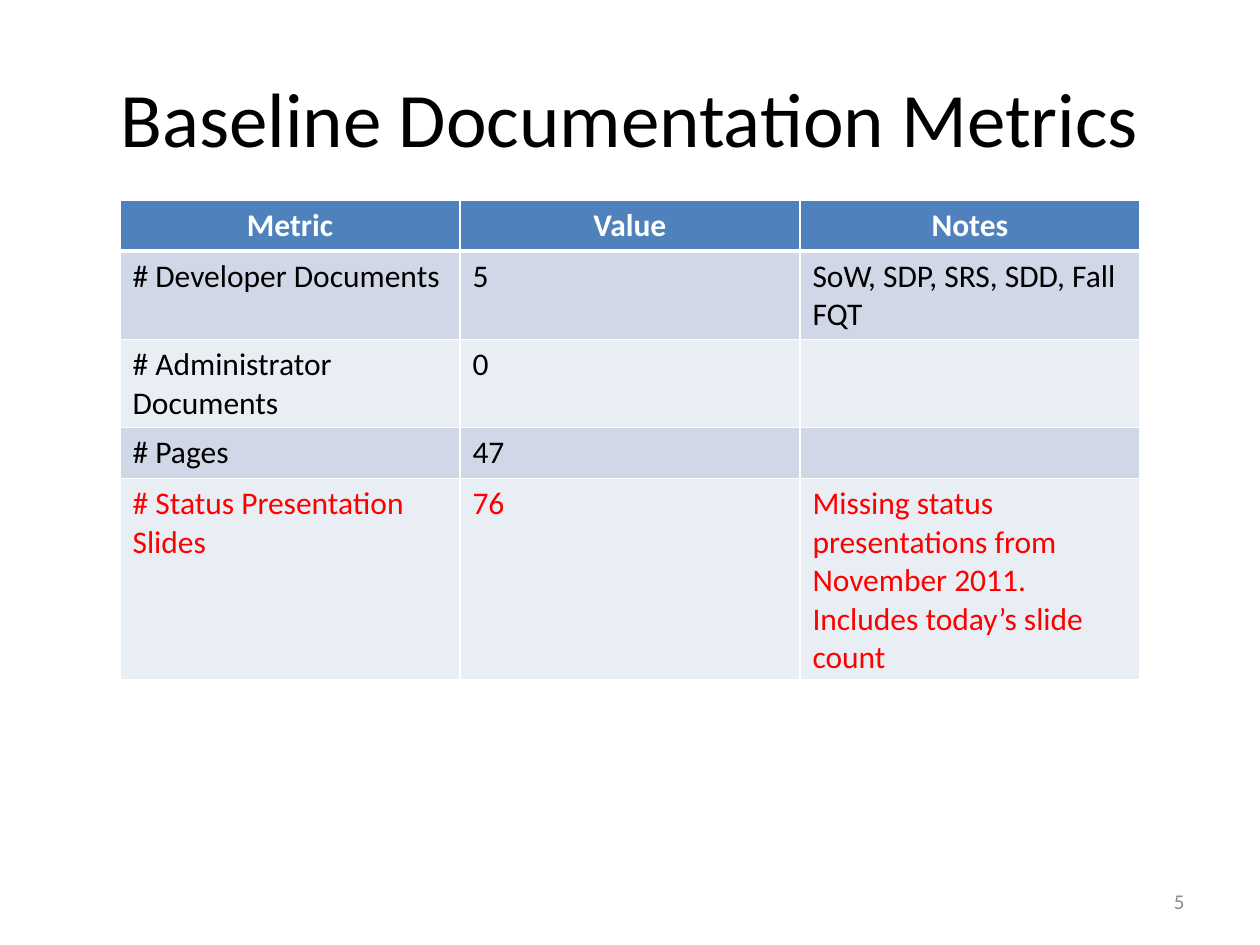
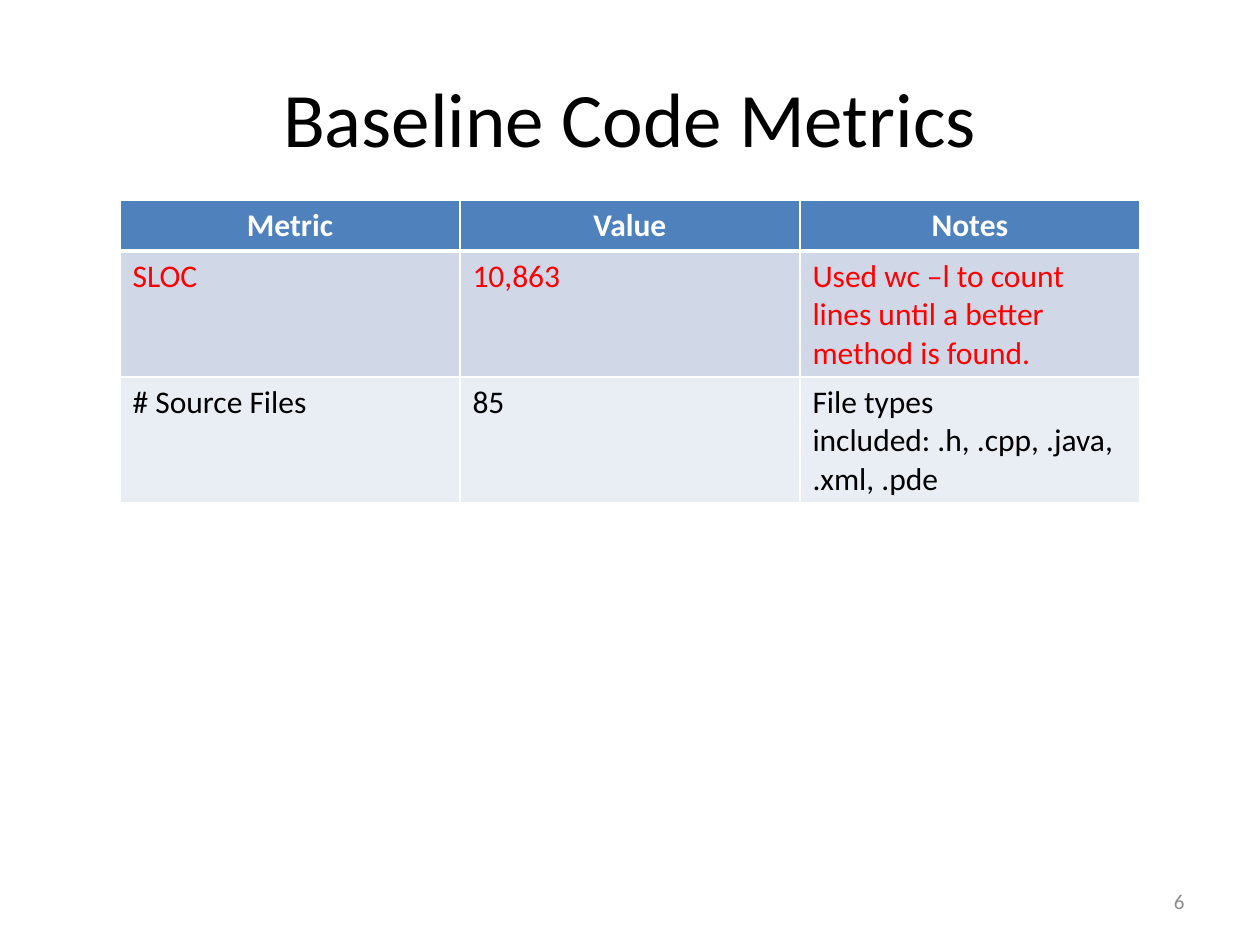
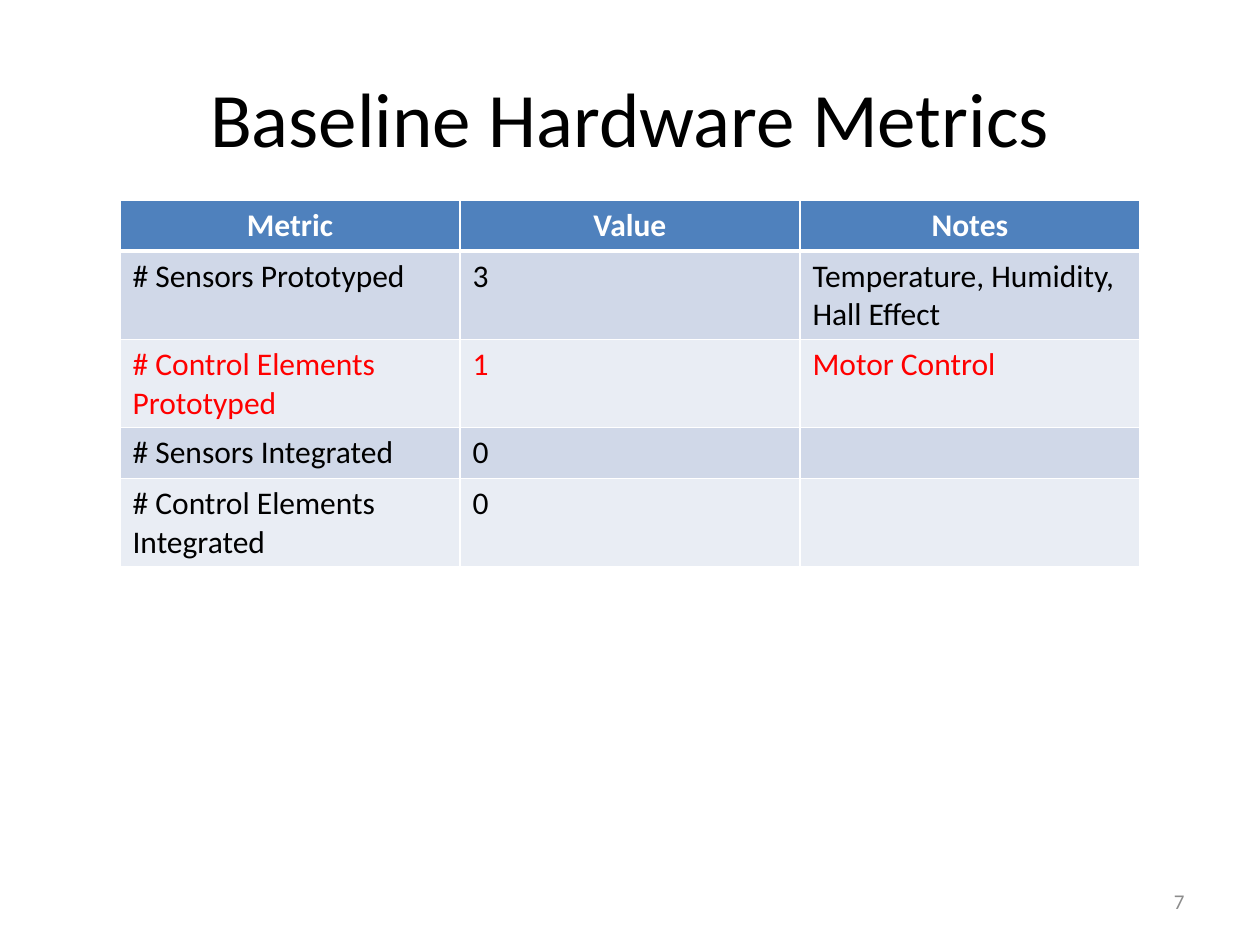
import dataclasses

import pptx
import pptx.dml.color
import pptx.enum.text
import pptx.oxml
import pptx.oxml.ns
import pptx.util


@dataclasses.dataclass(frozen=True)
class Theme:
    font: str = "Calibri"
    title_size: int = 44
    table_size: int = 18
    number_size: int = 12
    ink: str = "000000"
    changed: str = "FF0000"
    muted: str = "8C8C8C"
    white: str = "FFFFFF"
    header: str = "4F81BD"
    bands: tuple = ("D0D8E8", "E9EDF4")
    thin: int = 1
    thick: int = 3


theme = Theme()
ALIGN = pptx.enum.text.PP_ALIGN
MIDDLE = pptx.enum.text.MSO_ANCHOR.MIDDLE
PX = 914400 / 126

HEADINGS = ("Metric", "Value", "Notes")
FIRST_NUMBER = 5
COLUMN_WIDTH = 340
ROW_HEIGHT = 51

METRICS = {
    "Baseline Documentation Metrics": [
        ("# Developer Documents", "5", "SoW, SDP, SRS, SDD, Fall FQT"),
        ("# Administrator Documents", "0", ""),
        ("# Pages", "47", ""),
        (
            "# Status Presentation Slides",
            "76",
            "Missing status presentations from November 2011. Includes today’s slide count",
        ),
    ],
    "Baseline Code Metrics": [
        ("SLOC", "10,863", "Used wc –l to count lines until a better method is found."),
        ("# Source Files", "85", "File types included: .h, .cpp, .java, .xml, .pde"),
    ],
    "Baseline Hardware Metrics": [
        ("# Sensors Prototyped", "3", "Temperature, Humidity, Hall Effect"),
        ("# Control Elements Prototyped", "1", "Motor Control"),
        ("# Sensors Integrated", "0", ""),
        ("# Control Elements Integrated", "0", ""),
    ],
}
CHANGED_METRICS = {"# Status Presentation Slides", "SLOC", "# Control Elements Prototyped"}


def write(frame, text, size, color, align, bold=False):
    frame.word_wrap = True
    para = frame.paragraphs[0]
    para.text = text
    para.alignment = align
    para.font.name = theme.font
    para.font.size = pptx.util.Pt(size)
    para.font.bold = bold
    para.font.color.rgb = pptx.dml.color.RGBColor.from_string(color)


def draw_borders(cell, top, bottom):
    widths = {"lnL": theme.thin, "lnR": theme.thin, "lnT": top, "lnB": bottom}
    properties = cell._tc.get_or_add_tcPr()
    for side, width in widths.items():
        properties.append(pptx.oxml.parse_xml(
            f'<a:{side} {pptx.oxml.ns.nsdecls("a")} w="{pptx.util.Pt(width)}">'
            f'<a:solidFill><a:srgbClr val="{theme.white}"/></a:solidFill></a:{side}>'
        ))


deck = pptx.Presentation()
deck.slide_width = round(1260 * PX)
deck.slide_height = round(945 * PX)

for number, (heading, metrics) in enumerate(METRICS.items(), FIRST_NUMBER):
    page = deck.slides.add_slide(deck.slide_layouts[5])
    title = page.shapes.title
    title.left, title.top, title.width, title.height = [round(n * PX) for n in (63, 38, 1134, 157)]
    title.text_frame.vertical_anchor = MIDDLE
    write(title.text_frame, heading, theme.title_size, theme.ink, ALIGN.CENTER)

    box = page.shapes.add_textbox(*[round(n * PX) for n in (903, 876, 294, 50)])
    box.text_frame.vertical_anchor = MIDDLE
    write(box.text_frame, str(number), theme.number_size, theme.muted, ALIGN.RIGHT)

    rows = [HEADINGS, *metrics]
    place = (120, 200, COLUMN_WIDTH * len(HEADINGS), ROW_HEIGHT * len(rows))
    table = page.shapes.add_table(len(rows), len(HEADINGS), *[round(n * PX) for n in place]).table
    for row_index, row in enumerate(rows):
        is_header = row_index == 0
        if is_header:
            fill, color, align = theme.header, theme.white, ALIGN.CENTER
        else:
            fill = theme.bands[(row_index - 1) % 2]
            color = theme.changed if row[0] in CHANGED_METRICS else theme.ink
            align = ALIGN.LEFT
        for column_index, text in enumerate(row):
            cell = table.cell(row_index, column_index)
            draw_borders(
                cell,
                top=theme.thick if row_index == 1 else theme.thin,
                bottom=theme.thick if is_header else theme.thin,
            )
            cell.fill.solid()
            cell.fill.fore_color.rgb = pptx.dml.color.RGBColor.from_string(fill)
            write(cell.text_frame, text, theme.table_size, color, align, is_header)

deck.save("out.pptx")
